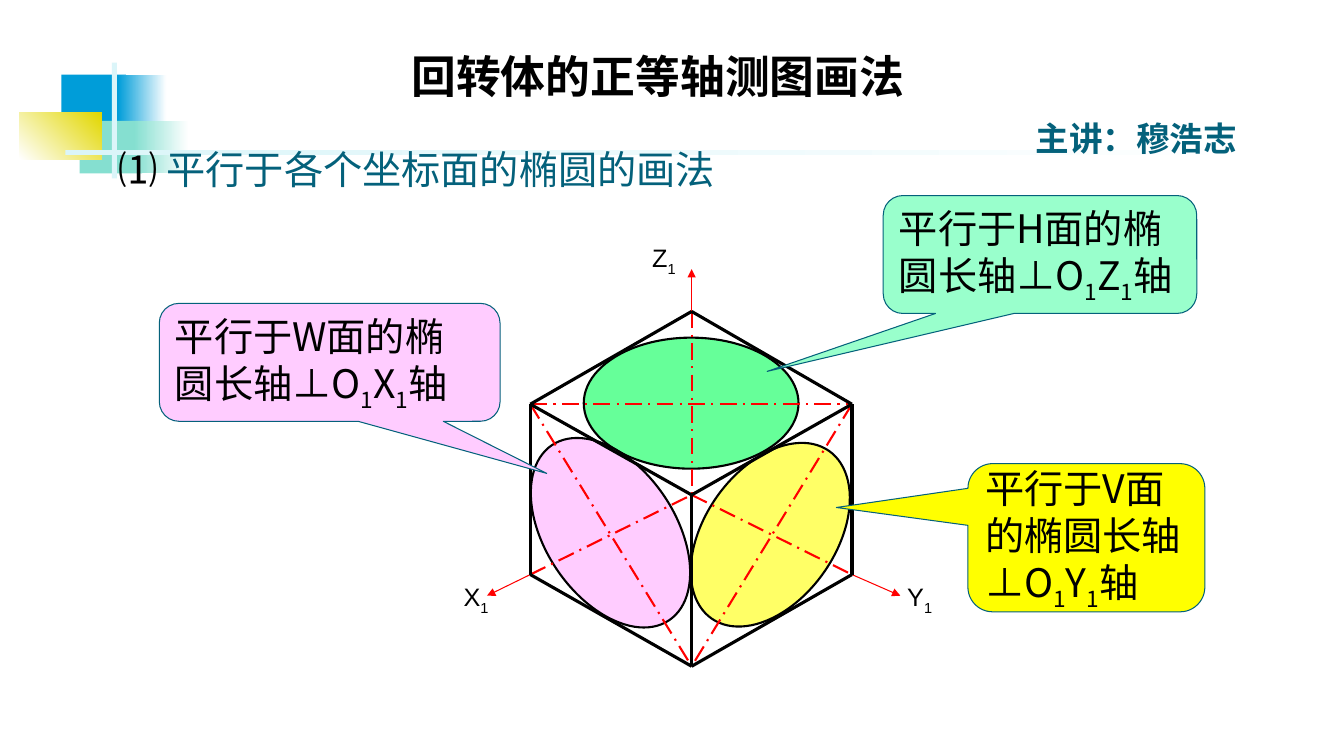
from dataclasses import dataclass
from typing import Optional

from lxml.etree import SubElement
from pptx import Presentation
from pptx.dml.color import RGBColor
from pptx.enum.dml import MSO_LINE_DASH_STYLE as Dash
from pptx.enum.shapes import MSO_CONNECTOR as Link, MSO_SHAPE as Preset
from pptx.enum.text import MSO_ANCHOR as Anchor, MSO_AUTO_SIZE as Fit, PP_ALIGN as Align
from pptx.oxml.ns import qn
from pptx.util import Inches, Pt

HAN = "Noto Sans CJK SC"
LATIN = "Arial"
BLACK, RED, TEAL, WHITE = "000000", "FF0000", "04617B", "FFFFFF"

TOP, LEFT, RIGHT = (6.86, 3.09), (5.26, 4.01), (8.45, 4.01)
CENTRE, BOTTOM = (6.86, 4.91), (6.86, 6.61)
LOW_LEFT, LOW_RIGHT = (5.26, 5.7), (8.45, 5.7)


@dataclass
class Band:
    at: tuple
    start: str
    end: Optional[str] = None
    angle: float = 0


@dataclass
class Oval:
    at: tuple
    colour: str
    turn: float = 0


@dataclass
class Callout:
    at: tuple
    tip: tuple
    colour: str
    rows: list


@dataclass
class Stroke:
    colour: str
    width: float
    dash: Optional[Dash] = None
    arrow: bool = False


BANDS = [
    Band((0.61, 0.74, 0.64, 0.52), "009DD9"),
    Band((1.17, 0.74, 0.48, 0.52), "009DD9", WHITE),
    Band((0.79, 1.2, 0.62, 0.52), "85DFD0"),
    Band((1.33, 1.2, 0.54, 0.52), "85DFD0", WHITE),
    Band((0.19, 1.12, 0.82, 0.46), WHITE, "E2D700", 45),
    Band((1.11, 0.62, 0.05, 1.15), "DBF5F9"),
    Band((0.65, 1.49, 12, 0.05), "DBF5F9", WHITE),
]
OVALS = [
    Oval((5.79, 3.35, 2.13, 1.3), "66FF99"),
    Oval((5.41, 4.24, 1.29, 2.09), "FFCCFF", 326.3),
    Oval((6.99, 4.29, 1.3, 2.03), "FFFF66", 35),
]
CALLOUTS = [
    Callout((8.76, 1.94, 3.11, 1.17), (-0.87, 0.991), "99FFCC",
            ["平行于H面的椭", "圆长轴⊥O_1Z_1轴"]),
    Callout((9.6, 4.6, 2.35, 1.47), (-1.055, -0.204), "FFFF00",
            ["平行于V面", "的椭圆长轴", "⊥O_1Y_1轴"]),
    Callout((1.58, 3.01, 3.38, 1.17), (0.637, 0.942), "FFCCFF",
            ["平行于W面的椭", "圆长轴⊥O_1X_1轴"]),
]
AXIS_LABELS = [
    ("X_1", (4.5, 5.72, 0.46, 0.4)),
    ("Y_1", (8.9, 5.72, 0.46, 0.4)),
    ("Z_1", (6.37, 2.36, 0.5, 0.4)),
]
STROKES = [
    (Stroke(RED, 1.5, Dash.LONG_DASH_DOT), [
        (LEFT, RIGHT), (LEFT, BOTTOM), (LOW_LEFT, CENTRE),
        (RIGHT, BOTTOM), (CENTRE, LOW_RIGHT), (TOP, CENTRE)]),
    (Stroke(RED, 0.75, arrow=True), [
        (TOP, (6.86, 2.67)), (LOW_LEFT, (4.83, 5.91)), (LOW_RIGHT, (8.93, 5.91))]),
    (Stroke(BLACK, 2.25), [
        (CENTRE, BOTTOM), (TOP, RIGHT), (RIGHT, LOW_RIGHT), (TOP, LEFT),
        (LEFT, CENTRE), (CENTRE, RIGHT), (BOTTOM, LOW_RIGHT),
        (LOW_LEFT, BOTTOM), (LEFT, LOW_LEFT)]),
]


def rgb(colour: str) -> RGBColor:
    return RGBColor.from_string(colour)


def add_span(para, text: str, size: float, face: str, colour: str,
             bold: bool = False, lowered: bool = False) -> None:
    span = para.add_run()
    span.text = text
    for name, value in {"size": Pt(size), "bold": bold, "name": face}.items():
        setattr(span.font, name, value)
    span.font.color.rgb = rgb(colour)
    props = span.font._element
    if lowered:
        props.set("baseline", "-25000")
    SubElement(props, qn("a:ea")).set("typeface", HAN)


def add_math(para, text: str, size: float, face: str) -> None:
    first, *others = text.split("_")
    add_span(para, first, size, face, BLACK)
    for part in others:
        add_span(para, part[0], size, face, BLACK, lowered=True)
        if part[1:]:
            add_span(para, part[1:], size, face, BLACK)


def set_frame(box, **changes):
    frame = box.text_frame
    formats = {"word_wrap": False, "auto_size": Fit.SHAPE_TO_FIT_TEXT,
               "vertical_anchor": Anchor.TOP} | changes
    for name, value in formats.items():
        setattr(frame, name, value)
    frame.paragraphs[0].alignment = Align.LEFT
    return frame


def add_text_box(page, at: tuple, **changes):
    box = page.shapes.add_textbox(*map(Inches, at))
    return set_frame(box, **changes).paragraphs[0]


def add_block(page, preset: Preset, at: tuple, colour: str,
              edge: Optional[Stroke] = None):
    box = page.shapes.add_shape(preset, *map(Inches, at))
    box.shadow.inherit = False
    box.fill.solid()
    box.fill.fore_color.rgb = rgb(colour)
    if edge:
        box.line.color.rgb = rgb(edge.colour)
        box.line.width = Pt(edge.width)
    else:
        box.line.fill.background()
    return box


def add_band(page, band: Band) -> None:
    box = add_block(page, Preset.RECTANGLE, band.at, band.start)
    if band.end:
        box.fill.gradient()
        box.fill.gradient_angle = band.angle
        for stop, colour in zip(box.fill.gradient_stops, (band.start, band.end)):
            stop.color.rgb = rgb(colour)


def add_callout(page, callout: Callout) -> None:
    box = add_block(page, Preset.ROUNDED_RECTANGULAR_CALLOUT, callout.at,
                    callout.colour, Stroke(TEAL, 0.75))
    for index, value in enumerate((*callout.tip, 0.167)):
        box.adjustments[index] = value
    frame = set_frame(box, auto_size=Fit.NONE, vertical_anchor=Anchor.MIDDLE)
    for index, row in enumerate(callout.rows):
        para = frame.add_paragraph() if index else frame.paragraphs[0]
        para.alignment = Align.LEFT
        add_math(para, row, 28, HAN)


def add_line(page, start: tuple, end: tuple, stroke: Stroke) -> None:
    line = page.shapes.add_connector(Link.STRAIGHT, *map(Inches, start + end))
    line.line.color.rgb = rgb(stroke.colour)
    line.line.width = Pt(stroke.width)
    if stroke.dash:
        line.line.dash_style = stroke.dash
    props = line._element.spPr
    if stroke.arrow:
        SubElement(props.find(qn("a:ln")), qn("a:tailEnd")).set("type", "triangle")
    SubElement(props, qn("a:effectLst"))


def main() -> None:
    deck = Presentation()
    deck.slide_width, deck.slide_height = Inches(13.33), Inches(7.5)
    page = deck.slides.add_slide(deck.slide_layouts[5])

    for band in BANDS:
        add_band(page, band)
    lecturer = add_text_box(page, (9.54, 1.11, 3.46, 0.51), word_wrap=True,
                            vertical_anchor=Anchor.MIDDLE)
    lecturer.alignment = Align.CENTER
    add_span(lecturer, "主讲：穆浩志", 24, HAN, TEAL, bold=True)

    title = page.shapes.title
    for name, value in zip(("left", "top", "width", "height"), (3.98, 0.43, 5.16, 0.64)):
        setattr(title, name, Inches(value))
    heading = set_frame(title).paragraphs[0]
    add_span(heading, "回转体的正等轴测图画法", 32, HAN, BLACK, bold=True)

    topic = add_text_box(page, (1.08, 1.39, 6.37, 0.57))
    add_span(topic, "⑴ ", 28, LATIN, BLACK)
    add_span(topic, "平行于各个坐标面的椭圆的画法", 28, LATIN, TEAL)

    for oval in OVALS:
        add_block(page, Preset.OVAL, oval.at, oval.colour,
                  Stroke(BLACK, 1.5)).rotation = oval.turn
    for stroke, pairs in STROKES:
        for start, end in pairs:
            add_line(page, start, end, stroke)
    for text, at in AXIS_LABELS:
        add_math(add_text_box(page, at), text, 18, LATIN)
    for callout in CALLOUTS:
        add_callout(page, callout)

    deck.save("out.pptx")


if __name__ == "__main__":
    main()
